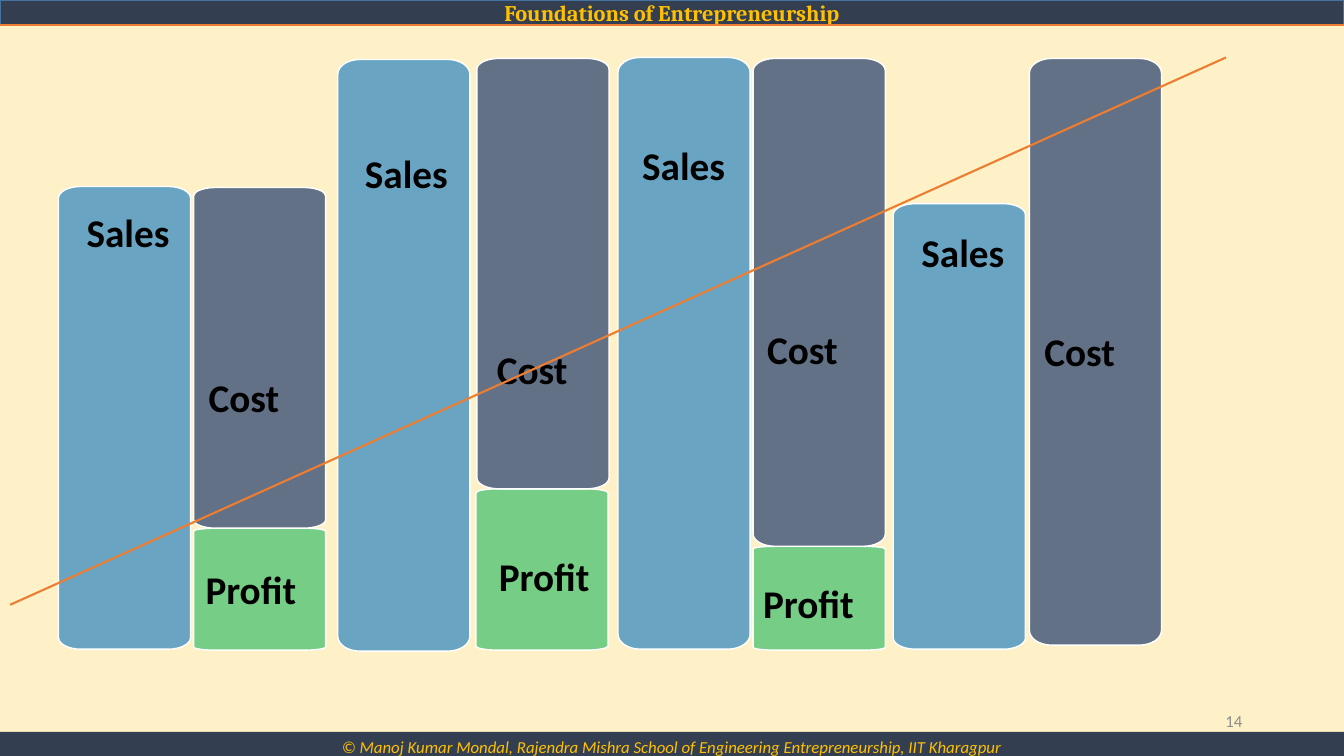
"""Build a slide comparing sales, cost and profit as stacked bars."""
from dataclasses import dataclass

import pptx
import pptx.dml.color
import pptx.enum.shapes
import pptx.enum.text
import pptx.oxml
import pptx.oxml.ns
import pptx.shapes.autoshape
import pptx.shapes.base
import pptx.slide
import pptx.util

PX = 9144
PAGE_WIDTH, PAGE_HEIGHT = 1333, 750
BAR_WIDTH = 131
CORNER_WIDTH = 22
CORNER_SHARE = 0.025
CURVE = 0.55
LABEL_HEIGHT = 57

COLORS = {
    "page": "FFF1C7",
    "band": "333F50",
    "band_edge": "43739E",
    "gold": "FFC000",
    "orange": "ED7D31",
    "number": "8C8C8C",
    "text": "000000",
    "edge": "FFFFFF",
    "Sales": "0070C0",
    "Cost": "002060",
    "Profit": "00B050",
}
OPACITY = {"Sales": 59, "Cost": 61, "Profit": 54}
ALIGN = pptx.enum.text.PP_ALIGN
ANCHOR = pptx.enum.text.MSO_ANCHOR


@dataclass(frozen=True)
class Bar:
    """One bar with its caption."""
    caption: str
    left: int
    top: int
    height: int
    label_left: int
    label_top: int
    label_width: int


BARS = [
    Bar("Sales", 58, 185, 459, 60, 202, 134),
    Bar("Profit", 192, 524, 121, 194, 556, 156),
    Bar("Cost", 192, 186, 338, 197, 365, 122),
    Bar("Sales", 335, 59, 587, 336, 143, 134),
    Bar("Profit", 472, 485, 160, 485, 543, 143),
    Bar("Cost", 473, 58, 427, 483, 338, 122),
    Bar("Sales", 613, 57, 587, 611, 135, 134),
    Bar("Profit", 747, 542, 103, 747, 570, 156),
    Bar("Cost", 747, 58, 484, 751, 318, 122),
    Bar("Sales", 886, 202, 442, 888, 222, 134),
    Bar("Cost", 1021, 58, 582, 1026, 320, 122),
]


def px(*lengths: float) -> list[int]:
    """Turn px lengths into EMU."""
    return [round(length * PX) for length in lengths]


def color(name: str) -> pptx.dml.color.RGBColor:
    """Look up a named colour."""
    return pptx.dml.color.RGBColor.from_string(COLORS[name])


def write(box: pptx.shapes.base.BaseShape, text: str, *, size: int, ink: str,
          font: str = "Calibri", bold: bool = False, italic: bool = False,
          align: ALIGN = ALIGN.LEFT, anchor: ANCHOR = ANCHOR.TOP) -> None:
    """Write one formatted line into a box."""
    frame = box.text_frame
    frame.word_wrap = True
    frame.auto_size = pptx.enum.text.MSO_AUTO_SIZE.NONE
    frame.vertical_anchor = anchor
    para = frame.paragraphs[0]
    para.alignment = align
    span = para.add_run()
    span.text = text
    span.font.name = font
    span.font.size = pptx.util.Pt(size)
    span.font.bold = bold
    span.font.italic = italic
    span.font.color.rgb = color(ink)


def paint(shape: pptx.shapes.autoshape.Shape, fill: str, edge: str | None) -> None:
    """Give a shape a solid fill and an optional one-point outline."""
    shape.fill.solid()
    shape.fill.fore_color.rgb = color(fill)
    if edge:
        shape.line.color.rgb = color(edge)
        shape.line.width = pptx.util.Pt(1)
    else:
        shape.line.fill.background()


def add_line(page: pptx.slide.Slide, x1: int, y1: int, x2: int, y2: int) -> None:
    """Draw a plain orange line."""
    line = page.shapes.add_connector(
        pptx.enum.shapes.MSO_CONNECTOR.STRAIGHT, *px(x1, y1, x2, y2))
    line.line.color.rgb = color("orange")
    line.line.width = pptx.util.Pt(1.5)
    properties = line._element.spPr
    properties.append(properties.makeelement(pptx.oxml.ns.qn("a:effectLst"), {}))


def round_corners(shape: pptx.shapes.autoshape.Shape,
                  corners: list[tuple[list[int], list[int], list[int]]]) -> None:
    """Turn every second straight segment into a curve round its corner."""
    qn = pptx.oxml.ns.qn
    segments = shape._element.spPr.findall(".//" + qn("a:lnTo"))
    for segment, (entry, tip, leave) in zip(segments[::2], corners):
        curve = segment.makeelement(qn("a:cubicBezTo"), {})
        handles = [[round(end + CURVE * (peak - end)) for end, peak in zip(point, tip)]
                   for point in (entry, leave)]
        for x, y in [*handles, leave]:
            curve.append(curve.makeelement(qn("a:pt"), {"x": str(x), "y": str(y)}))
        segment.getparent().replace(segment, curve)


def add_bar(page: pptx.slide.Slide, bar: Bar) -> None:
    """Draw a translucent bar whose corners are quarter ellipses."""
    width, height, radius_x, radius_y = px(
        BAR_WIDTH, bar.height, CORNER_WIDTH, bar.height * CORNER_SHARE)
    corners = [
        ([0, radius_y], [0, 0], [radius_x, 0]),
        ([width - radius_x, 0], [width, 0], [width, radius_y]),
        ([width, height - radius_y], [width, height], [width - radius_x, height]),
        ([radius_x, height], [0, height], [0, height - radius_y]),
    ]
    points = [point for entry, _, leave in corners for point in (entry, leave)]
    builder = page.shapes.build_freeform(*points[0])
    builder.add_line_segments(points[1:], close=True)
    shape = builder.convert_to_shape(*px(bar.left, bar.top))
    round_corners(shape, corners)
    shape.shadow.inherit = False
    paint(shape, bar.caption, "edge")
    tint = shape._element.spPr.find(".//" + pptx.oxml.ns.qn("a:srgbClr"))
    tint.append(tint.makeelement(
        pptx.oxml.ns.qn("a:alpha"), {"val": str(OPACITY[bar.caption] * 1000)}))


def add_label(page: pptx.slide.Slide, bar: Bar) -> None:
    """Place the caption of a bar."""
    box = page.shapes.add_textbox(
        *px(bar.label_left, bar.label_top, bar.label_width, LABEL_HEIGHT))
    align = ALIGN.CENTER if bar.caption == "Sales" else ALIGN.LEFT
    write(box, bar.caption, size=28, ink="text", bold=True, align=align)


def add_frame(page: pptx.slide.Slide) -> None:
    """Add the header, footer and page number."""
    title = page.shapes.title
    title.left, title.top, title.width, title.height = px(0, 0, PAGE_WIDTH, 25)
    paint(title, "band", "band_edge")
    write(title, "Foundations of Entrepreneurship", size=16, ink="gold",
          font="Cambria", bold=True, align=ALIGN.CENTER, anchor=ANCHOR.MIDDLE)
    add_line(page, 0, 25, PAGE_WIDTH, 25)

    footer = page.shapes.add_shape(
        pptx.enum.shapes.MSO_SHAPE.RECTANGLE, *px(0, 726, PAGE_WIDTH, 30))
    footer.shadow.inherit = False
    paint(footer, "band", None)
    write(footer, "© Manoj Kumar Mondal, Rajendra Mishra School of Engineering "
          "Entrepreneurship, IIT Kharagpur", size=12, ink="gold", italic=True,
          align=ALIGN.CENTER)

    number = page.shapes.add_textbox(*px(942, 695, 300, 40))
    write(number, "14", size=12, ink="number", align=ALIGN.RIGHT,
          anchor=ANCHOR.MIDDLE)


def main() -> None:
    """Build and save the deck."""
    deck = pptx.Presentation()
    deck.slide_width, deck.slide_height = px(PAGE_WIDTH, PAGE_HEIGHT)
    page = deck.slides.add_slide(deck.slide_layouts[5])
    page.background.fill.solid()
    page.background.fill.fore_color.rgb = color("page")
    add_frame(page)
    for bar in BARS:
        add_bar(page, bar)
    for bar in BARS:
        add_label(page, bar)
    add_line(page, 10, 600, 1216, 57)
    deck.save("out.pptx")


if __name__ == "__main__":
    main()
